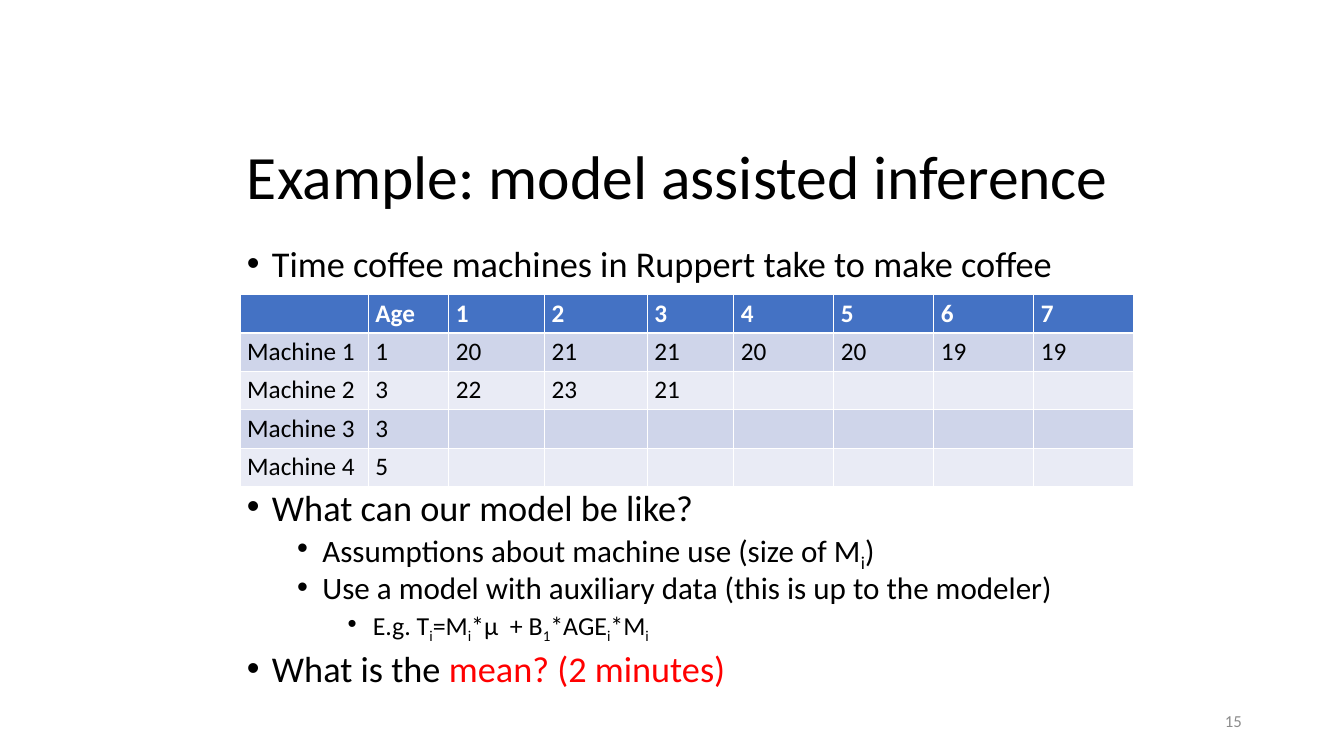
from lxml.etree import SubElement
from pptx import Presentation
from pptx.dml.color import RGBColor
from pptx.enum.text import MSO_ANCHOR as Anchor, PP_ALIGN as Align
from pptx.oxml.ns import qn
from pptx.util import Cm, Pt

BLACK = RGBColor(0x00, 0x00, 0x00)
WHITE = RGBColor(0xFF, 0xFF, 0xFF)
RED = RGBColor(0xFF, 0x00, 0x00)
GREY = RGBColor(0x8C, 0x8C, 0x8C)
HEADER_BLUE = RGBColor(0x44, 0x72, 0xC4)
BAND_DARK = RGBColor(0xCF, 0xD5, 0xEA)
BAND_LIGHT = RGBColor(0xE9, 0xEB, 0xF5)


def style(font, size, color, bold=False):
    font.name = "Calibri"
    font.size = Pt(size)
    font.color.rgb = color
    font.bold = bold


deck = Presentation()
deck.slide_width, deck.slide_height = Cm(33.87), Cm(19.05)
page = deck.slides.add_slide(deck.slide_layouts[5])

# Title
title = page.shapes.title
title.left, title.top, title.width, title.height = Cm(5.97), Cm(3.15), Cm(24.18), Cm(2.77)
title.text_frame.text = "Example: model assisted inference"
title.text_frame.vertical_anchor = Anchor.MIDDLE
title_para = title.text_frame.paragraphs[0]
title_para.alignment = Align.LEFT
title_para.line_spacing = 0.9
style(title_para.runs[0].font, 44, BLACK)

# Bullets: level, space before, text with subscripts between underscores
LEVEL_SIZES = [25.9, 22.2, 18.5]
TABLE_GAP = 149
bullets = [
    (0, 0, "Time coffee machines in Ruppert take to make coffee"),
    (0, TABLE_GAP, "What can our model be like?"),
    (1, 5, "Assumptions about machine use (size of M_i_)"),
    (1, 5, "Use a model with auxiliary data (this is up to the modeler)"),
    (2, 5, "E.g. T_i_=M_i_*μ  + B_1_*AGE_i_*M_i"),
    (0, 10, "What is the "),
]
body = page.shapes.add_textbox(Cm(5.97), Cm(6.17), Cm(23.42), Cm(11.99))
frame = body.text_frame
frame.word_wrap = True
for index, (level, space, text) in enumerate(bullets):
    para = frame.paragraphs[0] if index == 0 else frame.add_paragraph()
    para.level = level
    para.line_spacing = 0.8
    para.space_before = Pt(space)
    properties = para._p.get_or_add_pPr()
    properties.set("marL", str(Cm(0.635 + 1.27 * level)))
    properties.set("indent", str(Cm(-0.635)))
    SubElement(properties, qn("a:buFont"), typeface="Arial")
    SubElement(properties, qn("a:buChar"), char="•")
    for position, part in enumerate(text.split("_")):
        span = para.add_run()
        span.text = part
        style(span.font, LEVEL_SIZES[level], BLACK)
        if position % 2:
            span.font._element.set("baseline", "-25000")
question = para.add_run()
question.text = "mean? (2 minutes)"
style(question.font, LEVEL_SIZES[0], RED)

# Brewing times
rows = [
    ["", "Age", "1", "2", "3", "4", "5", "6", "7"],
    ["Machine 1", "1", "20", "21", "21", "20", "20", "19", "19"],
    ["Machine 2", "3", "22", "23", "21", "", "", "", ""],
    ["Machine 3", "3", "", "", "", "", "", "", ""],
    ["Machine 4", "5", "", "", "", "", "", "", ""],
]
column_widths = [3.23, 2.03, 2.41, 2.59, 2.18] + [2.52] * 4
table = page.shapes.add_table(len(rows), len(column_widths), Cm(6.05), Cm(7.42),
                              Cm(sum(column_widths)), Cm(0.97 * len(rows))).table
for column, width in zip(table.columns, column_widths):
    column.width = Cm(width)
for row_index, values in enumerate(rows):
    is_header = row_index == 0
    band = HEADER_BLUE if is_header else BAND_DARK if row_index % 2 else BAND_LIGHT
    for column_index, value in enumerate(values):
        cell = table.cell(row_index, column_index)
        cell.fill.solid()
        cell.fill.fore_color.rgb = band
        cell.margin_left = cell.margin_right = Cm(0.18)
        cell.margin_top = cell.margin_bottom = Cm(0.09)
        cell.text_frame.text = value
        style(cell.text_frame.paragraphs[0].font, 18, WHITE if is_header else BLACK, is_header)
        for span in cell.text_frame.paragraphs[0].runs:
            style(span.font, 18, WHITE if is_header else BLACK, is_header)

# Page number
number_box = page.shapes.add_textbox(Cm(23.93), Cm(17.65), Cm(7.62), Cm(1.02))
number_box.text_frame.word_wrap = True
number_box.text_frame.vertical_anchor = Anchor.MIDDLE
number_box.text_frame.text = "15"
number_para = number_box.text_frame.paragraphs[0]
number_para.alignment = Align.RIGHT
style(number_para.runs[0].font, 12, GREY)

deck.save("out.pptx")
